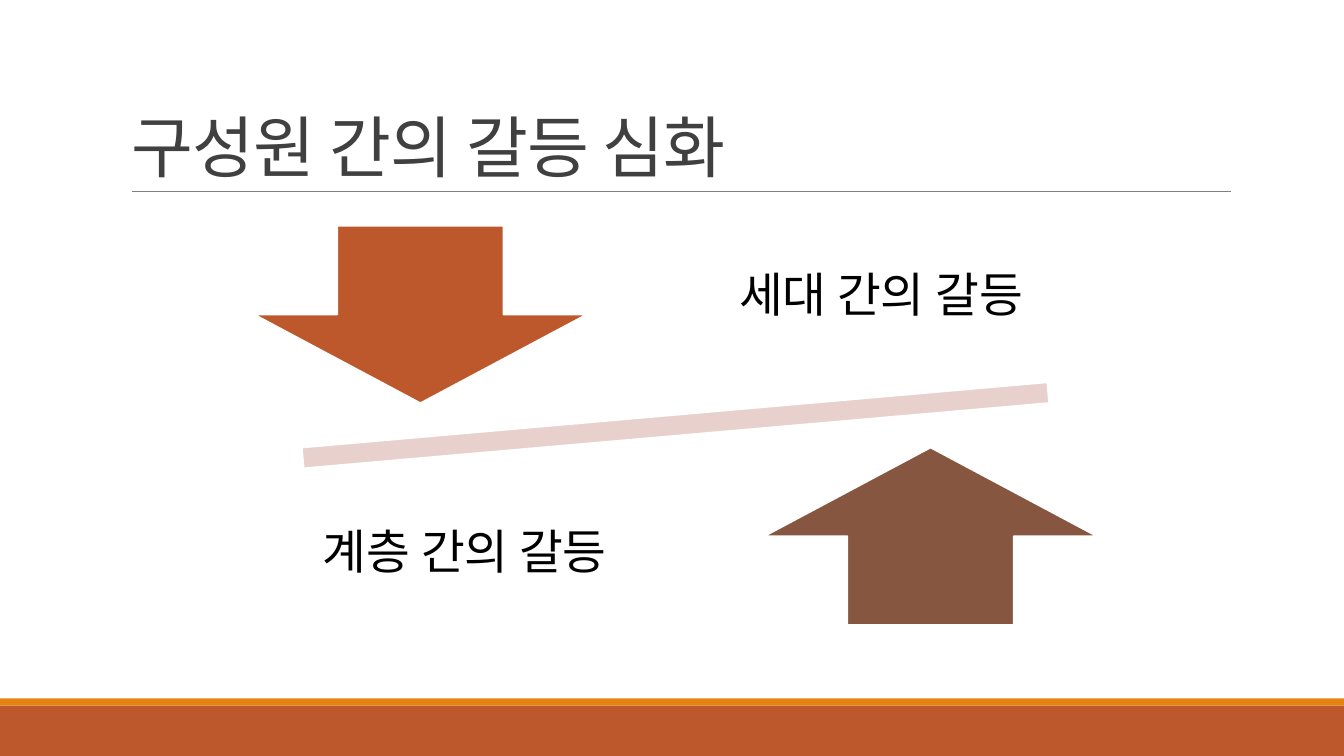
"""Builds a slide on deepening conflict between members of society."""
from dataclasses import dataclass

from lxml import etree
from pptx import Presentation
from pptx import util as u
from pptx.dml.color import RGBColor
from pptx.enum import shapes, text
from pptx.oxml.ns import qn


@dataclass(frozen=True)
class Theme:
    rust: str = "BD582C"
    orange: str = "E48312"
    brown: str = "865640"
    blush: str = "E8D1CD"
    white: str = "FFFFFF"
    rule: str = "808080"
    heading: str = "404040"
    body: str = "000000"
    latin: str = "Calibri"
    korean: str = "Noto Sans CJK KR"
    title_size: int = 48
    label_size: int = 34


class ConflictSlide:
    def __init__(self, slide, theme):
        self.slide = slide
        self.theme = theme

    def format_run(self, run, size, color, latin):
        run.font.size = u.Pt(size)
        run.font.name = latin
        run.font.color.rgb = RGBColor.from_string(color)
        east_asian = etree.SubElement(run.font._element, qn("a:ea"))
        east_asian.set("typeface", self.theme.korean)

    def title(self, box, pieces):
        heading = self.slide.shapes.title
        heading.left, heading.top, heading.width, heading.height = map(u.Inches, box)
        frame = heading.text_frame
        frame.word_wrap = True
        frame.auto_size = text.MSO_AUTO_SIZE.NONE
        frame.vertical_anchor = text.MSO_ANCHOR.BOTTOM
        paragraph = frame.paragraphs[0]
        paragraph.alignment = text.PP_ALIGN.LEFT
        paragraph.line_spacing = 0.85
        for wording, latin in pieces:
            run = paragraph.add_run()
            run.text = wording
            self.format_run(run, self.theme.title_size, self.theme.heading, latin)
            run.font._element.set("spc", "-50")

    def figure(self, kind, box, fill, outline=None, rotation=0):
        figure = self.slide.shapes.add_shape(kind, *map(u.Inches, box))
        figure.shadow.inherit = False
        figure.rotation = rotation
        figure.fill.solid()
        figure.fill.fore_color.rgb = RGBColor.from_string(fill)
        if outline:
            figure.line.color.rgb = RGBColor.from_string(outline)
            figure.line.width = u.Pt(1.25)
        else:
            figure.line.fill.background()

    def rule(self, left, right, y):
        rule = self.slide.shapes.add_connector(
            shapes.MSO_CONNECTOR.STRAIGHT, *map(u.Inches, (left, y, right, y)))
        rule.line.color.rgb = RGBColor.from_string(self.theme.rule)
        rule.line.width = u.Pt(0.5)
        etree.SubElement(rule._element.spPr, qn("a:effectLst"))

    def label(self, box, wording):
        frame = self.slide.shapes.add_textbox(*map(u.Inches, box)).text_frame
        frame.word_wrap = True
        frame.vertical_anchor = text.MSO_ANCHOR.MIDDLE
        frame.margin_left = frame.margin_right = u.Inches(0.26)
        frame.margin_top = frame.margin_bottom = u.Inches(0.26)
        paragraph = frame.paragraphs[0]
        paragraph.text = wording
        paragraph.alignment = text.PP_ALIGN.CENTER
        paragraph.line_spacing = 0.9
        paragraph.space_after = u.Pt(12)
        self.format_run(paragraph.runs[0], self.theme.label_size,
                        self.theme.body, self.theme.korean)


def main():
    deck = Presentation()
    deck.slide_width, deck.slide_height = u.Inches(13.33), u.Inches(7.5)
    theme = Theme()
    page = ConflictSlide(deck.slides.add_slide(deck.slide_layouts[5]), theme)
    preset = shapes.MSO_SHAPE

    page.figure(preset.RECTANGLE, (0, 7, 13.33, 0.5), theme.rust)
    page.figure(preset.RECTANGLE, (0, 6.93, 13.33, 0.07), theme.orange)
    page.rule(1.31, 12.21, 1.9)
    page.title((1.2, 0.31, 11, 1.59),
               [("구성원 ", theme.latin), ("간의 갈등 심화", theme.korean)])

    page.figure(preset.MATH_MINUS, (1.65, 3.78, 10.1, 0.88),
                theme.blush, theme.white, rotation=355)
    page.figure(preset.DOWN_ARROW, (2.52, 2.24, 3.3, 1.76), theme.rust, theme.white)
    page.label((7.03, 2.02, 3.52, 1.85), "세대 간의 갈등 ")
    page.figure(preset.UP_ARROW, (7.58, 4.44, 3.3, 1.76), theme.brown, theme.white)
    page.label((2.85, 4.57, 3.52, 1.85), "계층 간의 갈등")

    deck.save("out.pptx")


if __name__ == "__main__":
    main()
